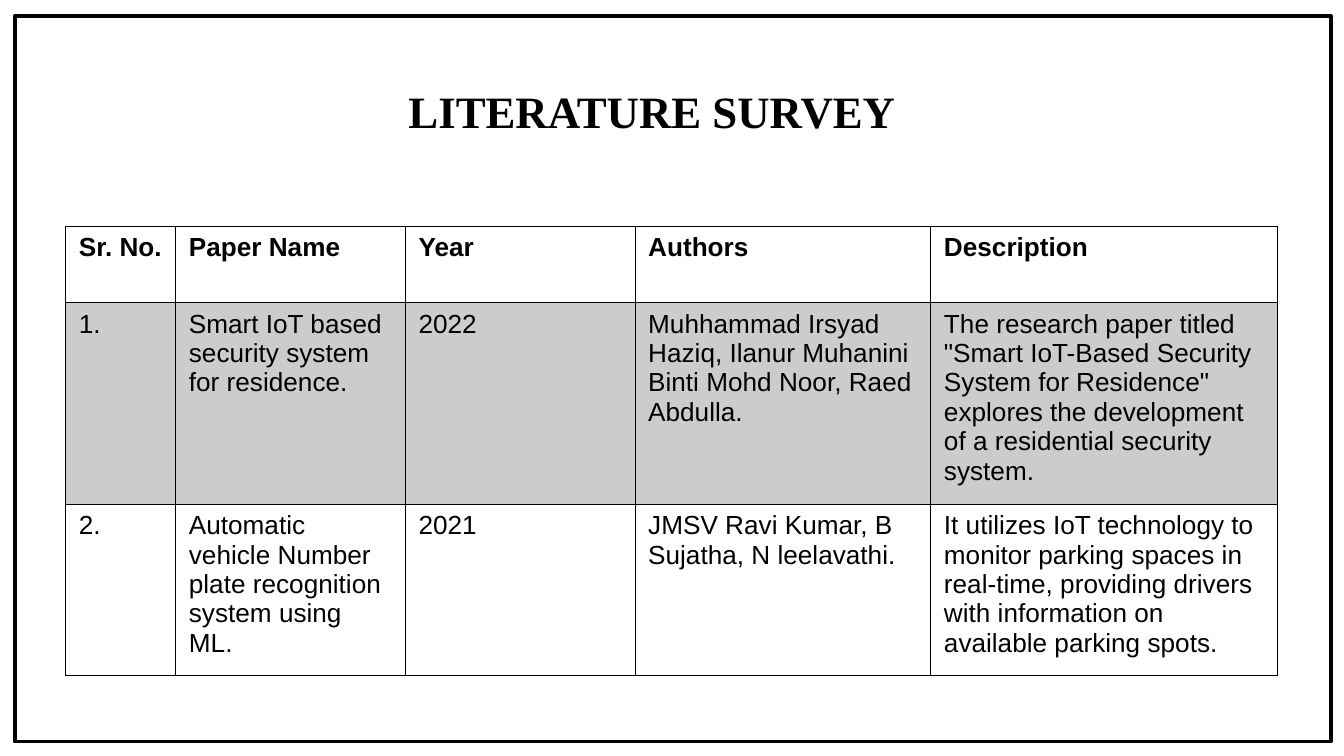
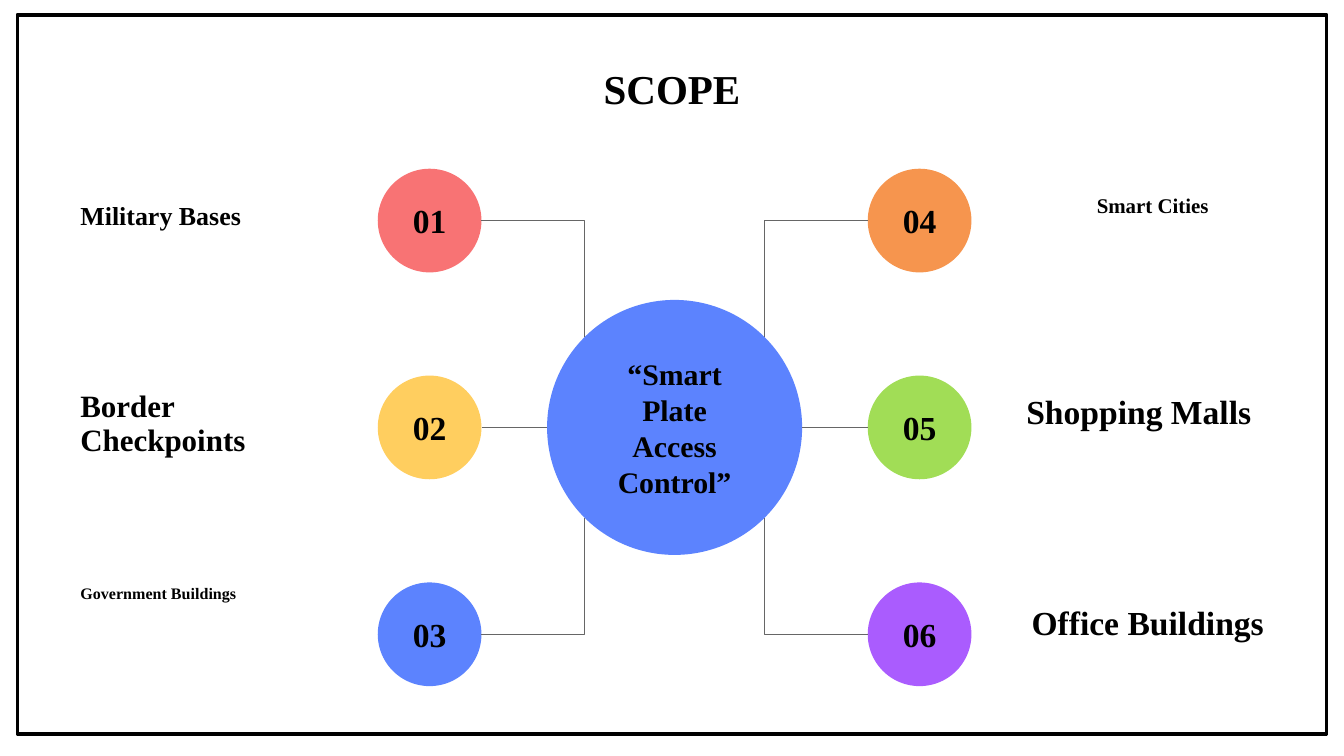
from dataclasses import dataclass
from math import sqrt

from lxml.etree import SubElement
from pptx import Presentation
from pptx.dml.color import RGBColor
from pptx.enum.shapes import MSO_CONNECTOR as Link, MSO_SHAPE as Kind
from pptx.enum.text import MSO_ANCHOR as Anchor, MSO_AUTO_SIZE as Fit, PP_ALIGN as Align
from pptx.oxml.ns import qn
from pptx.util import Cm, Pt

BLACK = "000000"
GREY = "666666"
BLUE = "5C83FE"
SERIF = "Times New Roman"
SANS = "Arial"
PAD = 0.25


@dataclass
class Box:
    """A rectangle in centimetres."""
    left: float
    top: float
    width: float
    height: float

    def emu(self) -> tuple:
        return Cm(self.left), Cm(self.top), Cm(self.width), Cm(self.height)


@dataclass
class Place:
    """One numbered field of use with its label."""
    name: str
    fill: str
    box: Box
    size: float
    space: float = 1.0


LEFT = [
    Place("Military Bases", "F87374", Box(1.27, 3.63, 5.44, 1.12), 13.9, 0.8),
    Place("Border Checkpoints", "FFCE5F", Box(1.27, 7.14, 5.44, 1.98), 16.6, 0.9),
    Place("Government Buildings", BLUE, Box(1.27, 10.85, 5.44, 0.91), 8.6, 0.8),
]
RIGHT = [
    Place("Smart Cities", "F6954E", Box(18.01, 3.48, 5.08, 1.04), 11.2, 0.8),
    Place("Shopping Malls", "A1DD56", Box(18.97, 7.14, 4.93, 1.35), 18),
    Place("Office Buildings", "AA5CFE", Box(18.42, 11.13, 5.72, 1.35), 18),
]
HUB_X, HUB_Y, HUB_R = 12.75, 8.08, 2.41
DOT_R, DOT_GAP, ROW_GAP = 0.98, 4.63, 3.91

COLS = [2.08, 4.34, 4.34, 5.59, 6.55]
ROWS = [1.45, 3.81, 3.23]
PAPERS = [
    ["Sr. No.", "Paper Name", "Year", "Authors", "Description"],
    ["1.", "Smart IoT based security system for residence.", "2022",
     "Muhhammad Irsyad Haziq, Ilanur Muhanini Binti Mohd Noor, Raed Abdulla.",
     'The research paper titled "Smart IoT-Based Security System for Residence" '
     "explores the development of a residential security system."],
    ["2.", "Automatic vehicle Number plate recognition system using ML.", "2021",
     "JMSV Ravi Kumar, B Sujatha, N leelavathi.",
     "It utilizes IoT technology to monitor parking spaces in real-time, "
     "providing drivers with information on available parking spots."],
]


def paint(target, tone: str) -> None:
    """Give a fill or a line one solid colour."""
    fill = target.fill if hasattr(target, "fill") else target
    fill.solid()
    fill.fore_color.rgb = RGBColor.from_string(tone)


def write(frame, text: str, size: float, font: str = SERIF, bold: bool = True,
          align=Align.LEFT, space: float = 1.0) -> None:
    para = frame.paragraphs[0]
    para.alignment = align
    para.line_spacing = space
    run = para.add_run()
    run.text = text
    run.font.name = font
    run.font.size = Pt(size)
    run.font.bold = bold
    run.font.color.rgb = RGBColor.from_string(BLACK)


def setup(frame, anchor, side: float = PAD, edge: float = PAD) -> None:
    """Set wrapping, anchor and insets of a text frame."""
    frame.word_wrap = True
    frame.auto_size = Fit.NONE
    frame.vertical_anchor = anchor
    frame.margin_left = frame.margin_right = Cm(side)
    frame.margin_top = frame.margin_bottom = Cm(edge)


def start(deck, title: str, box: Box, size: float, align, anchor, edge: float):
    """Add a slide with its title."""
    slide = deck.slides.add_slide(deck.slide_layouts[5])
    head = slide.shapes.title
    head.left, head.top, head.width, head.height = box.emu()
    setup(head.text_frame, anchor, edge=edge)
    write(head.text_frame, title, size, align=align)
    return slide


def border(slide, box: Box) -> None:
    shape = slide.shapes.add_shape(Kind.RECTANGLE, *box.emu())
    shape.shadow.inherit = False
    shape.fill.background()
    paint(shape.line, BLACK)
    shape.line.width = Pt(2)


def rule(cell, widths: dict) -> None:
    """Draw cell borders; they must come before the fill."""
    props = cell._tc.get_or_add_tcPr()
    for side, width in widths.items():
        line = SubElement(props, qn(f"a:{side}"), w=str(Pt(width)))
        solid = SubElement(line, qn("a:solidFill"))
        SubElement(solid, qn("a:srgbClr"), val=BLACK)


def shade(cell, tone: str, alpha: int) -> None:
    paint(cell.fill, tone)
    color = cell._tc.tcPr.find(qn("a:solidFill")).find(qn("a:srgbClr"))
    SubElement(color, qn("a:alpha"), val=str(alpha * 1000))


def grid(slide) -> None:
    box = Box(1.24, 4.27, sum(COLS), sum(ROWS))
    table = slide.shapes.add_table(len(ROWS), len(COLS), *box.emu()).table
    table.horz_banding = table.first_row = False
    for col, width in zip(table.columns, COLS):
        col.width = Cm(width)
    for i, (row, height) in enumerate(zip(table.rows, ROWS)):
        row.height = Cm(height)
        for cell, text in zip(row.cells, PAPERS[i]):
            cell.margin_left = cell.margin_right = Cm(PAD)
            cell.margin_top = cell.margin_bottom = Cm(0.13)
            write(cell.text_frame, text, 14, SANS, bold=i == 0)
            rule(cell, {"lnL": 0.45, "lnR": 0.45,
                        "lnT": 0.96 if i == 1 else 0.45,
                        "lnB": 0.96 if i == 0 else 0.45})
            if i == 1:
                shade(cell, BLACK, 20)
            else:
                cell.fill.background()


def disc(slide, x: float, y: float, radius: float, fill: str,
         text: str, size: float) -> None:
    box = Box(x - radius, y - radius, 2 * radius, 2 * radius)
    shape = slide.shapes.add_shape(Kind.OVAL, *box.emu())
    shape.shadow.inherit = False
    paint(shape, fill)
    shape.line.fill.background()
    setup(shape.text_frame, Anchor.MIDDLE)
    write(shape.text_frame, text, size, align=Align.CENTER)


def join(slide, x: float, y: float, side: int, step: int) -> None:
    """Link a dot to the hub: straight in the middle row, bent elsewhere."""
    reach = HUB_R / sqrt(2) if step else HUB_R
    kind = Link.ELBOW if step else Link.STRAIGHT
    line = slide.shapes.add_connector(
        kind, Cm(x - side * DOT_R), Cm(y),
        Cm(HUB_X + side * reach), Cm(HUB_Y + step * reach))
    if step:
        line.element.spPr.prstGeom.set("prst", "bentConnector2")
    paint(line.line, GREY)
    line.line.width = Pt(0.75)
    SubElement(line.element.spPr, qn("a:effectLst"))


def label(slide, place: Place, align) -> None:
    frame = slide.shapes.add_textbox(*place.box.emu()).text_frame
    setup(frame, Anchor.TOP)
    write(frame, place.name, place.size, align=align, space=place.space)


def survey(deck) -> None:
    slide = start(deck, "LITERATURE SURVEY", Box(7.47, 1.45, 12.7, 1.27), 24,
                  Align.LEFT, Anchor.TOP, 0.13)
    grid(slide)
    border(slide, Box(0.28, 0.3, 24.87, 13.72))


def scope(deck) -> None:
    slide = start(deck, "SCOPE", Box(1.27, 1.14, 22.86, 1.04), 22,
                  Align.CENTER, Anchor.MIDDLE, PAD)
    disc(slide, HUB_X, HUB_Y, HUB_R, BLUE, "“Smart Plate Access Control”", 16)
    count = 0
    for side, align, places in ((-1, Align.LEFT, LEFT), (1, Align.RIGHT, RIGHT)):
        x = HUB_X + side * DOT_GAP
        for step, place in zip((-1, 0, 1), places):
            count += 1
            y = HUB_Y + step * ROW_GAP
            label(slide, place, align)
            disc(slide, x, y, DOT_R, place.fill, f"{count:02d}", 18)
            join(slide, x, y, side, step)
    border(slide, Box(0.33, 0.28, 24.74, 13.59))


def main() -> None:
    deck = Presentation()
    deck.slide_width, deck.slide_height = Cm(25.4), Cm(14.29)
    survey(deck)
    scope(deck)
    deck.save("out.pptx")


if __name__ == "__main__":
    main()
